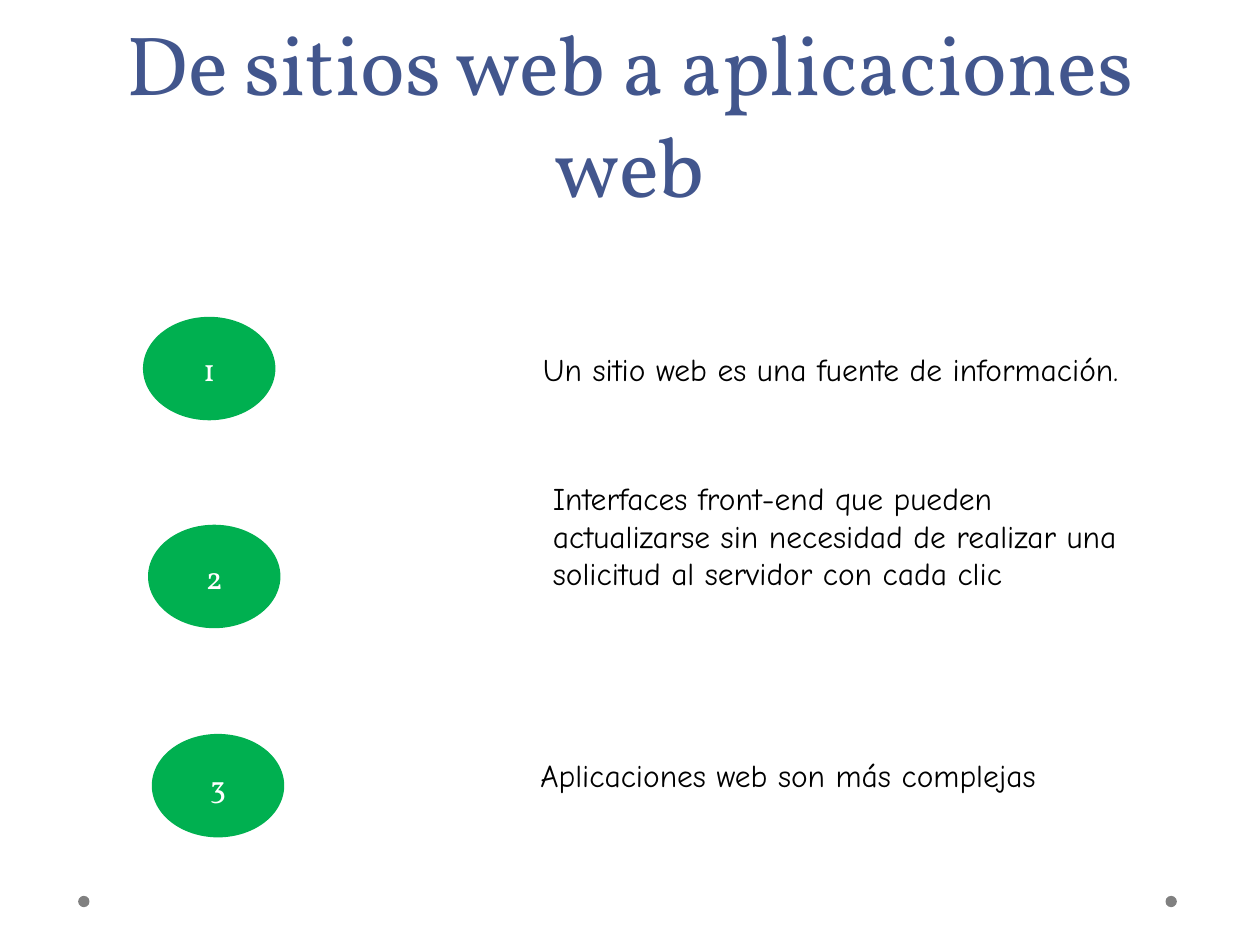
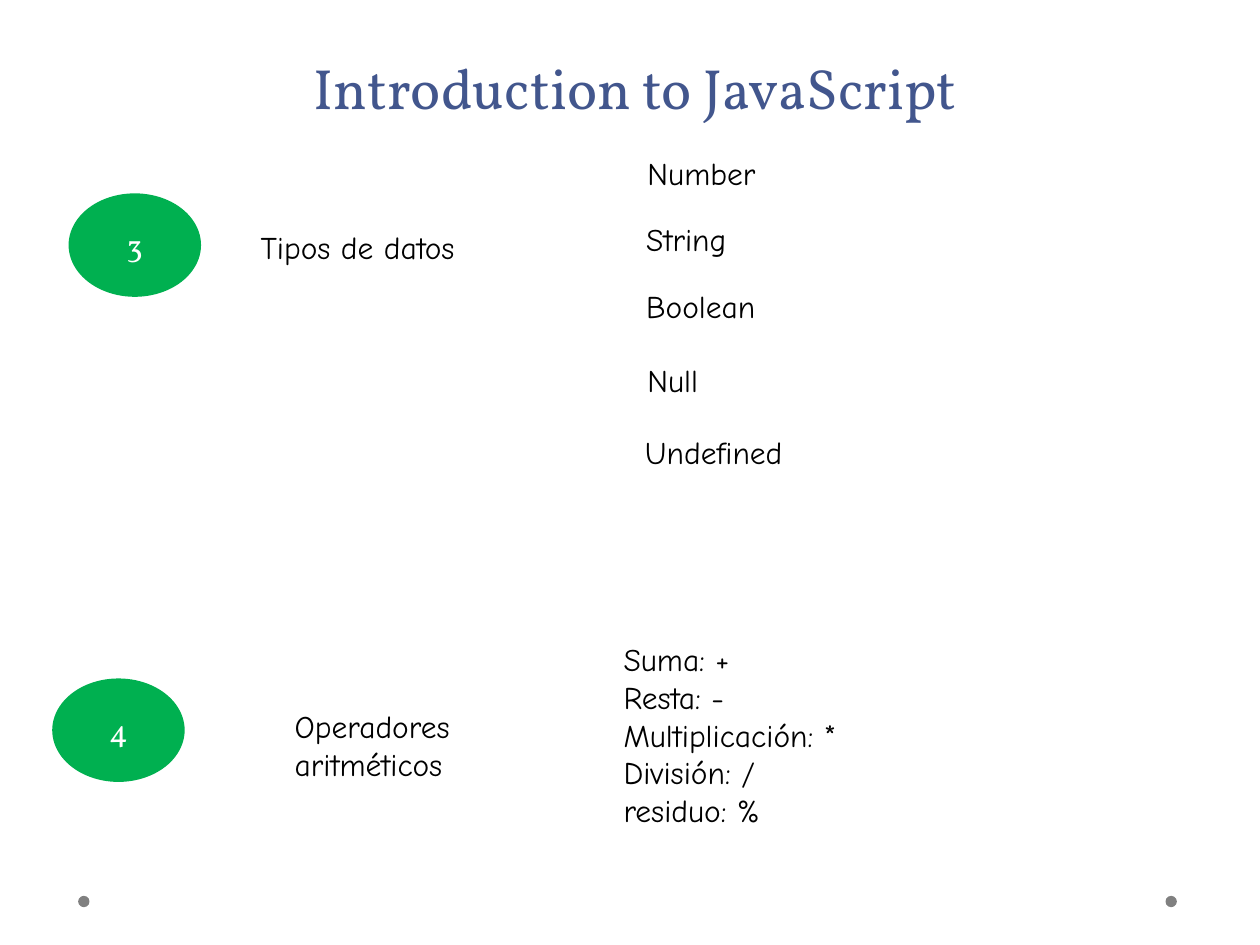
"""Build two slides on web applications and JavaScript basics."""
from dataclasses import dataclass

from pptx import Presentation
from pptx.dml.color import RGBColor
from pptx.enum import shapes, text
from pptx.util import Inches, Pt


@dataclass(frozen=True)
class Theme:
    """Colours, fonts and type sizes shared by the slides."""

    title_color: RGBColor = RGBColor(0x42, 0x56, 0x8D)
    body_color: RGBColor = RGBColor(0, 0, 0)
    badge_color: RGBColor = RGBColor(0, 0xB0, 0x50)
    badge_text_color: RGBColor = RGBColor(255, 255, 255)
    dot_color: RGBColor = RGBColor(0x80, 0x80, 0x80)
    heading_font: str = "Vollkorn"
    body_font: str = "Comic Neue"
    title_size: float = 48
    small_title_size: float = 32.4
    title_line_spacing: float = 58
    body_size: float = 18


THEME = Theme()


def format_text(frame, font_name, size, color, alignment):
    """Apply one font and alignment to every paragraph of a frame."""
    for paragraph in frame.paragraphs:
        paragraph.alignment = alignment
        for run in paragraph.runs:
            run.font.name = font_name
            run.font.size = Pt(size)
            run.font.color.rgb = color


def add_ellipse(slide, left, top, width, height, color):
    """Add a plain filled ellipse."""
    ellipse = slide.shapes.add_shape(
        shapes.MSO_SHAPE.OVAL, Inches(left), Inches(top), Inches(width), Inches(height))
    ellipse.shadow.inherit = False
    ellipse.fill.solid()
    ellipse.fill.fore_color.rgb = color
    ellipse.line.fill.background()
    return ellipse


def add_badge(slide, number, left, top):
    """Add a numbered green ellipse."""
    badge = add_ellipse(slide, left, top, 1.02, 0.79, THEME.badge_color)
    badge.line.color.rgb = THEME.badge_color
    badge.line.width = Pt(2.25)
    frame = badge.text_frame
    frame.text = str(number)
    frame.vertical_anchor = text.MSO_ANCHOR.MIDDLE
    format_text(frame, THEME.heading_font, THEME.body_size,
                THEME.badge_text_color, text.PP_ALIGN.CENTER)


def add_title(slide, title, left, top, height, size):
    """Add a centred title that sits on the bottom of its box."""
    box = slide.shapes.add_textbox(Inches(left), Inches(top), Inches(9), Inches(height))
    frame = box.text_frame
    frame.word_wrap = True
    frame.vertical_anchor = text.MSO_ANCHOR.BOTTOM
    frame.text = title
    frame.paragraphs[0].line_spacing = Pt(THEME.title_line_spacing)
    format_text(frame, THEME.heading_font, size, THEME.title_color, text.PP_ALIGN.CENTER)


def add_body(slide, content, left, top, width, height=0.4, wrap=False):
    """Add left-aligned body text, one paragraph per line of content."""
    box = slide.shapes.add_textbox(
        Inches(left), Inches(top), Inches(width), Inches(height))
    frame = box.text_frame
    frame.word_wrap = wrap
    frame.auto_size = text.MSO_AUTO_SIZE.SHAPE_TO_FIT_TEXT
    frame.text = content
    format_text(frame, THEME.body_font, THEME.body_size,
                THEME.body_color, text.PP_ALIGN.LEFT)


def add_base_slide(presentation):
    """Add a blank slide with the two footer dots."""
    slide = presentation.slides.add_slide(presentation.slide_layouts[6])
    for left in (9.25, 0.62):
        add_ellipse(slide, left, 7.11, 0.09, 0.09, THEME.dot_color)
    return slide


def build_web_applications(presentation):
    """Build the slide on the move from sites to applications."""
    slide = add_base_slide(presentation)
    add_title(slide, "De sitios web a aplicaciones web", 0.5, 0, 1.75, THEME.title_size)
    for number, left, top in ((1, 1.15, 2.53), (2, 1.19, 4.18), (3, 1.22, 5.84)):
        add_badge(slide, number, left, top)
    add_body(slide, "Un sitio web es una fuente de información.", 4.21, 2.73, 5.19)
    add_body(slide, "Interfaces front-end que pueden actualizarse sin necesidad de "
             "realizar una solicitud al servidor con cada clic",
             4.29, 3.75, 5, 1.01, wrap=True)
    add_body(slide, "Aplicaciones web son más complejas", 4.19, 5.95, 4.4)


def build_javascript(presentation):
    """Build the slide on data types and arithmetic operators."""
    slide = add_base_slide(presentation)
    add_title(slide, "Introduction to JavaScript", 0.54, 0.21, 0.8, THEME.small_title_size)
    add_badge(slide, 3, 0.56, 1.55)
    add_body(slide, "Tipos de datos", 1.97, 1.76, 1.93)
    add_badge(slide, 4, 0.43, 5.4)
    add_body(slide, "Operadores aritméticos", 2.24, 5.56, 1.65, 0.71, wrap=True)
    data_types = (
        ("Number", 5.04, 1.17, 1.85),
        ("String", 5.03, 1.7, 0.95),
        ("Boolean", 5.03, 2.23, 1.1),
        ("Null", 5.04, 2.82, 0.67),
        ("Undefined", 5.02, 3.39, 1.42),
    )
    for name, left, top, width in data_types:
        add_body(slide, name, left, top, width)
    operators = ("Suma: +", "Resta: -", "Multiplicación: *", "División: /", "residuo: %")
    add_body(slide, "\n".join(operators), 4.85, 5.03, 4.65, 1.62, wrap=True)


def main():
    """Create and save the presentation."""
    presentation = Presentation()
    presentation.slide_width = Inches(10)
    presentation.slide_height = Inches(7.5)
    build_web_applications(presentation)
    build_javascript(presentation)
    presentation.save("out.pptx")


if __name__ == "__main__":
    main()
